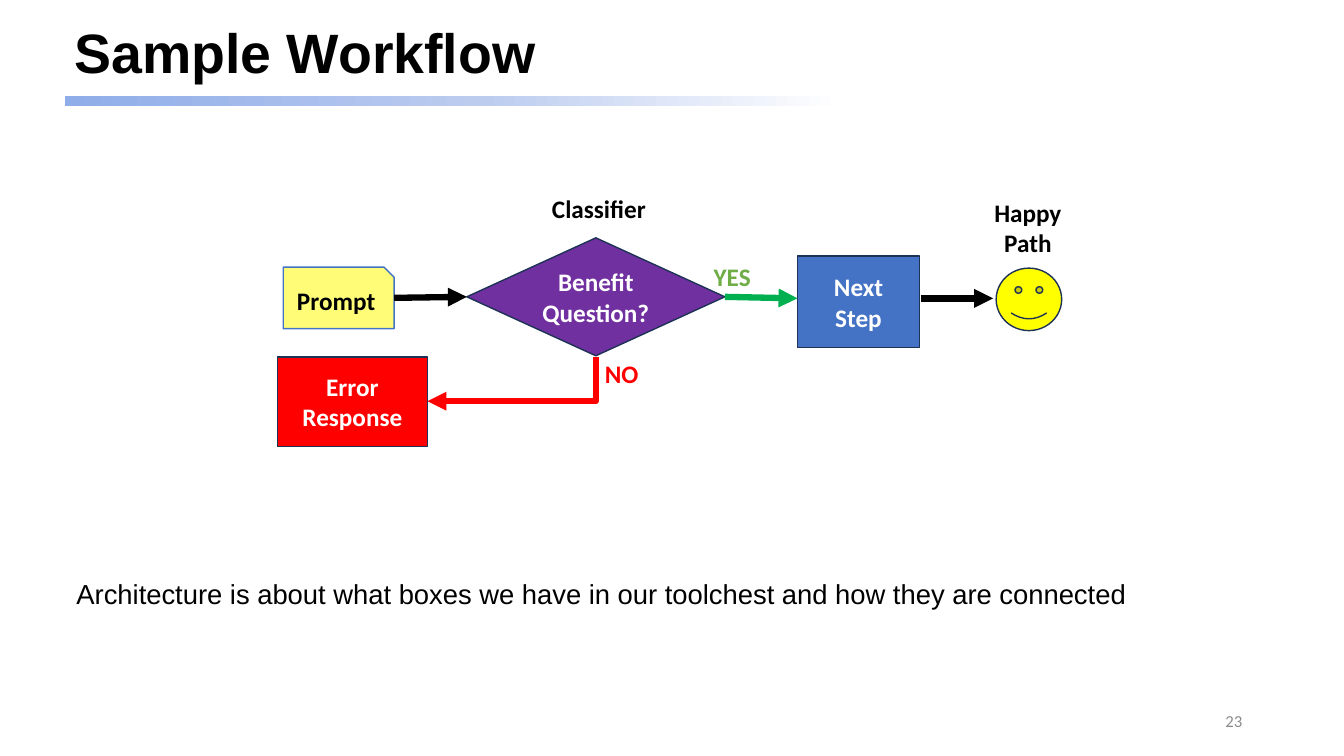
import copy

import pptx
import pptx.dml.color
import pptx.enum.shapes
import pptx.enum.text
import pptx.oxml.ns
import pptx.util
from lxml import etree

Inches = pptx.util.Inches
Kind = pptx.enum.shapes.MSO_SHAPE
Link = pptx.enum.shapes.MSO_CONNECTOR
Align = pptx.enum.text.PP_ALIGN
Anchor = pptx.enum.text.MSO_ANCHOR
qn = pptx.oxml.ns.qn
TOP, LEFT, BOTTOM, RIGHT = range(4)
BLACK, WHITE, RED, OUTLINE = "000000", "FFFFFF", "FF0000", "1E3256"


def color(value):
    return pptx.dml.color.RGBColor.from_string(value)


class WorkflowSlide:
    """Draws the workflow elements on one slide in a shared style."""

    def __init__(self, slide):
        self.slide = slide
        self.font = "Calibri"
        self.size = 18
        self.arrow_width = 4.5

    def add_lines(self, shape, lines, ink, size=None, font=None, bold=True,
                  align=Align.CENTER, anchor=Anchor.MIDDLE, spacing=None):
        frame = shape.text_frame
        frame.vertical_anchor = anchor
        for index, line in enumerate(lines):
            paragraph = frame.add_paragraph() if index else frame.paragraphs[0]
            paragraph.alignment = align
            if spacing:
                paragraph.line_spacing = spacing
            run = paragraph.add_run()
            run.text = line
            run.font.name = font or self.font
            run.font.size = pptx.util.Pt(size or self.size)
            run.font.bold = bold
            run.font.color.rgb = color(ink)

    def text(self, box, lines, ink, wrap=True, **style):
        label = self.slide.shapes.add_textbox(*map(Inches, box))
        label.text_frame.word_wrap = wrap
        self.add_lines(label, lines, ink, **style)

    def label(self, box, lines, ink, align=Align.CENTER):
        self.text(box, lines, ink, wrap=False, align=align, anchor=Anchor.TOP)

    def node(self, kind, box, fill, lines=(), ink=WHITE, outline=OUTLINE):
        shape = self.slide.shapes.add_shape(kind, *map(Inches, box))
        shape.shadow.inherit = False
        shape.fill.solid()
        shape.fill.fore_color.rgb = color(fill)
        shape.line.color.rgb = color(outline)
        shape.line.width = pptx.util.Pt(1)
        self.add_lines(shape, lines, ink)
        return shape

    def gradient_bar(self, box, stops):
        bar = self.slide.shapes.add_shape(Kind.RECTANGLE, *map(Inches, box))
        bar.shadow.inherit = False
        bar.line.fill.background()
        bar.fill.gradient()
        bar.fill.gradient_angle = 0
        stop_list = bar._element.spPr.find(".//" + qn("a:gsLst"))
        while len(stop_list) < len(stops):
            stop_list.append(copy.deepcopy(stop_list[-1]))
        for stop, (position, shade) in zip(bar.fill.gradient_stops, stops):
            stop.position = position
            stop.color.rgb = color(shade)

    def arrow(self, start, end, ink, source=None, target=None, kind=Link.STRAIGHT):
        link = self.slide.shapes.add_connector(kind, *map(Inches, start + end))
        if source:
            link.begin_connect(source, RIGHT)
        if target:
            link.end_connect(target, LEFT)
        link.line.color.rgb = color(ink)
        link.line.width = pptx.util.Pt(self.arrow_width)
        properties = link._element.spPr
        etree.SubElement(properties.find(qn("a:ln")), qn("a:tailEnd"), type="triangle")
        etree.SubElement(properties, qn("a:effectLst"))
        return link

    def down_left_arrow(self, start, end, ink):
        across, down = start[0] - end[0], end[1] - start[1]
        middle_x, middle_y = (start[0] + end[0]) / 2, (start[1] + end[1]) / 2
        corner = (middle_x - down / 2, middle_y - across / 2)
        opposite = (middle_x + down / 2, middle_y + across / 2)
        link = self.arrow(corner, opposite, ink, kind=Link.ELBOW)
        properties = link._element.spPr
        properties.find(qn("a:xfrm")).set("rot", "5400000")
        properties.find(qn("a:prstGeom")).set("prst", "bentConnector2")


def main():
    deck = pptx.Presentation()
    deck.slide_width, deck.slide_height = Inches(13.33), Inches(7.5)
    page = WorkflowSlide(deck.slides.add_slide(deck.slide_layouts[6]))

    page.gradient_bar((0.64, 0.95, 11.5, 0.1),
                      [(0, "8FADE9"), (0.36, "BCCCEF"), (0.67, WHITE)])
    page.text((0.64, 0.18, 11.5, 0.75), ["Sample Workflow"], BLACK,
              size=39.6, font="Arial", align=Align.LEFT, spacing=0.9)
    page.text((0.66, 5.77, 11.5, 0.61),
              ["Architecture is about what boxes we have in our toolchest "
               "and how they are connected"], BLACK, size=19.6, font="Arial",
              bold=False, align=Align.LEFT, anchor=Anchor.TOP, spacing=0.7)
    page.text((9.42, 6.95, 3, 0.4), ["23"], "8C8C8C", size=12, bold=False,
              align=Align.RIGHT)

    prompt = page.node(Kind.SNIP_1_RECTANGLE, (2.81, 2.65, 1.1, 0.61), "FFFD78",
                       ["Prompt"], BLACK, "4472C4")
    classifier = page.node(Kind.DIAMOND, (4.63, 2.36, 2.56, 1.17), "7030A0",
                           ["Benefit", "Question?"])
    page.node(Kind.RECTANGLE, (2.75, 3.54, 1.49, 0.89), RED, ["Error", "Response"])
    page.node(Kind.RECTANGLE, (7.91, 2.54, 1.21, 0.91), "4472C4", ["Next", "Step"])
    page.node(Kind.SMILEY_FACE, (9.88, 2.66, 0.65, 0.62), "FFFF00")

    page.arrow((3.91, 2.95), (4.63, 2.95), BLACK, prompt, classifier)
    page.arrow((7.19, 2.95), (7.91, 2.96), "00B050", classifier)
    page.arrow((9.13, 2.96), (9.85, 2.96), BLACK)
    page.down_left_arrow((5.91, 3.54), (4.24, 3.98), RED)

    page.label((6.98, 2.54, 0.57, 0.4), ["YES"], "70AD47", Align.LEFT)
    page.label((5.9, 3.51, 0.54, 0.4), ["NO"], RED, Align.LEFT)
    page.label((5.37, 1.87, 1.14, 0.4), ["Classifier"], BLACK)
    page.label((9.76, 1.91, 0.87, 0.71), ["Happy", "Path"], BLACK)

    deck.save("out.pptx")


if __name__ == "__main__":
    main()
